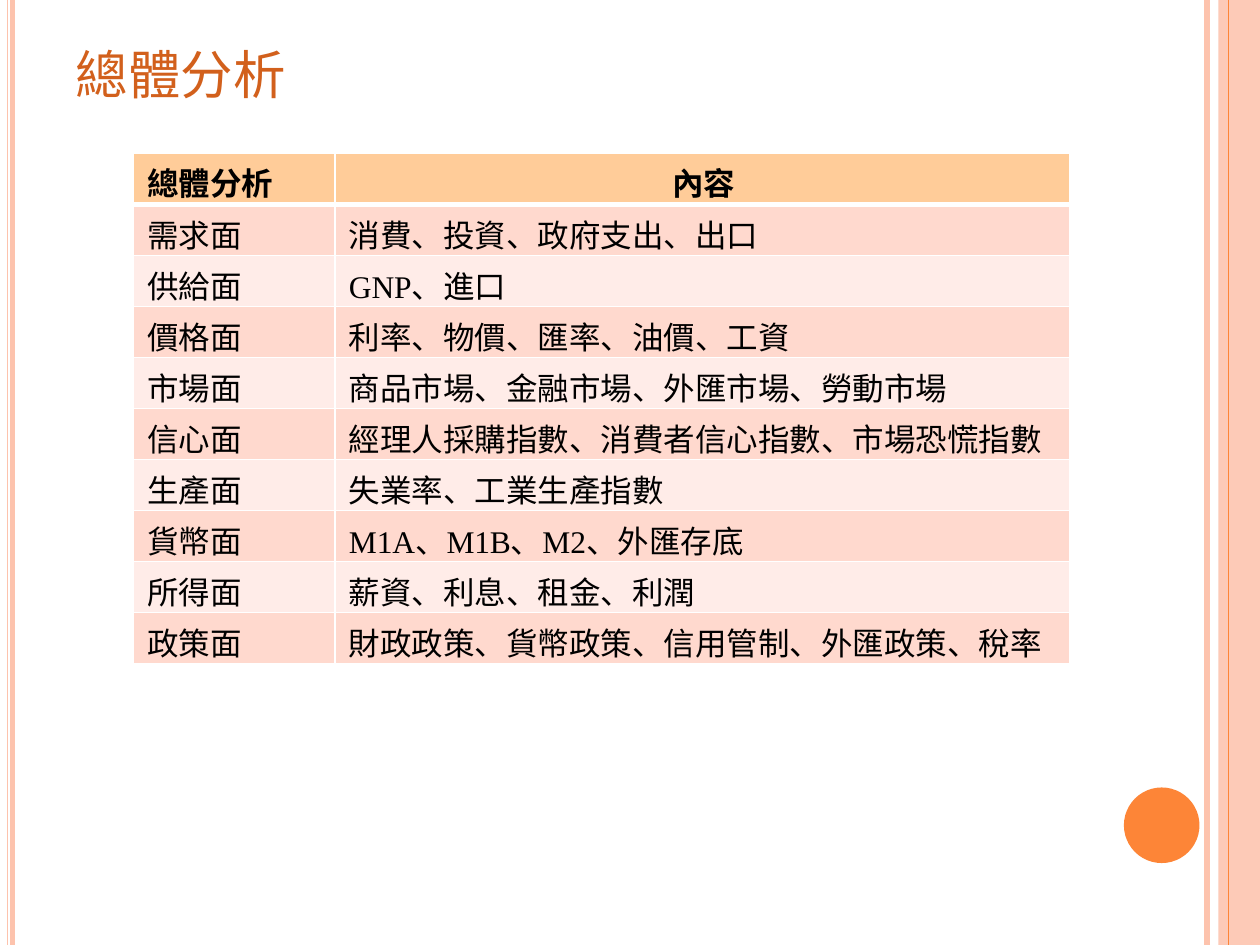
from itertools import groupby

from lxml.etree import SubElement
from pptx import Presentation
from pptx.dml.color import RGBColor
from pptx.enum.shapes import MSO_CONNECTOR, MSO_SHAPE
from pptx.enum.text import MSO_ANCHOR, PP_ALIGN
from pptx.oxml.ns import qn
from pptx.util import Inches, Pt

WHITE = RGBColor(0xFF, 0xFF, 0xFF)
BLACK = RGBColor(0x00, 0x00, 0x00)
PEACH = RGBColor(0xFD, 0xC3, 0xAD)
ORANGE = RGBColor(0xFD, 0x85, 0x37)
RUST = RGBColor(0xD2, 0x60, 0x1C)
HEADER_FILL = RGBColor(0xFF, 0xCC, 0x99)
ODD_FILL = RGBColor(0xFF, 0xD9, 0xCE)
EVEN_FILL = RGBColor(0xFF, 0xEC, 0xE8)

BODY_FONT = "Roboto"
HEADER_FONT = "Noto Sans CJK SC"
LATIN_FONT = "Times New Roman"

RULES = [(9.58, PEACH, 3), (0.1, PEACH, 2.75), (0.06, PEACH, 0.91)]
INNER_RULE = (9.75, ORANGE, 0.72)
COLUMN_WIDTHS = [1.6, 5.83]
ASPECTS = [
    ("總體分析", "內容"),
    ("需求面", "消費、投資、政府支出、出口"),
    ("供給面", "GNP、進口"),
    ("價格面", "利率、物價、匯率、油價、工資"),
    ("市場面", "商品市場、金融市場、外匯市場、勞動市場"),
    ("信心面", "經理人採購指數、消費者信心指數、市場恐慌指數"),
    ("生產面", "失業率、工業生產指數"),
    ("貨幣面", "M1A、M1B、M2、外匯存底"),
    ("所得面", "薪資、利息、租金、利潤"),
    ("政策面", "財政政策、貨幣政策、信用管制、外匯政策、稅率"),
]


def set_all(target, values):
    """Set each named attribute of the target."""
    for name, value in values.items():
        setattr(target, name, value)


def add_rule(slide, x, color, width):
    """Draw a full-height vertical rule."""
    rule = slide.shapes.add_connector(
        MSO_CONNECTOR.STRAIGHT, Inches(x), 0, Inches(x), Inches(7.5))
    rule.line.color.rgb = color
    rule.line.width = Pt(width)
    SubElement(rule._element.spPr, qn("a:effectLst"))


def add_solid(slide, preset, box, color, opacity=100):
    """Add an unlined shape with a plain fill of the given opacity."""
    solid = slide.shapes.add_shape(preset, *map(Inches, box))
    solid.shadow.inherit = False
    solid.line.fill.background()
    solid.fill.solid()
    solid.fill.fore_color.rgb = color
    if opacity < 100:
        tint = solid._element.spPr.find(qn("a:solidFill"))[0]
        SubElement(tint, qn("a:alpha"), val=str(opacity * 1000))


def write_text(paragraph, text, font, size, color, bold=False, indent=0, before=0):
    """Write text in runs, with Latin words in their own font."""
    paragraph.space_before = Pt(before)
    paragraph._p.get_or_add_pPr().set("marL", str(Inches(indent)))
    for is_latin, letters in groupby(text, str.isascii):
        run = paragraph.add_run()
        run.text = "".join(letters)
        face = LATIN_FONT if is_latin else font
        set_all(run.font, {"name": face, "size": Pt(size), "bold": bold})
        run.font.color.rgb = color
        properties = run._r.get_or_add_rPr()
        SubElement(properties, qn("a:ea"), typeface=face)
        if is_latin:
            properties.set("spc", "-10")


def add_borders(cell, top, bottom):
    """Give a cell white borders, with top and bottom widths in points."""
    widths = {"a:lnL": 1, "a:lnR": 1, "a:lnT": top, "a:lnB": bottom}
    for side, width in widths.items():
        border = SubElement(cell._tc.get_or_add_tcPr(), qn(side), w=str(Pt(width)))
        SubElement(SubElement(border, qn("a:solidFill")), qn("a:srgbClr"), val=str(WHITE))


def fill_cell(cell, text, row, column):
    """Format and write one table cell."""
    is_header = row == 0
    set_all(cell, {"margin_left": 0, "margin_right": 0,
                   "margin_top": Inches(0.04), "margin_bottom": 0,
                   "vertical_anchor": MSO_ANCHOR.BOTTOM})
    add_borders(cell, top=3 if row == 1 else 1, bottom=3 if is_header else 1)
    cell.fill.solid()
    cell.fill.fore_color.rgb = (
        HEADER_FILL if is_header else ODD_FILL if row % 2 else EVEN_FILL)
    paragraph = cell.text_frame.paragraphs[0]
    centred = is_header and column == 1
    if centred:
        paragraph.alignment = PP_ALIGN.CENTER
    write_text(paragraph, text, HEADER_FONT if is_header else BODY_FONT, 18, BLACK,
               bold=is_header, indent=0.02 if centred else 0.11, before=2.9)


def add_aspect_table(slide):
    """Add the table of aspects and their contents."""
    table = slide.shapes.add_table(
        len(ASPECTS), len(COLUMN_WIDTHS), Inches(1.06), Inches(1.22),
        Inches(sum(COLUMN_WIDTHS)), Inches(4.05)).table
    for column, width in zip(table.columns, COLUMN_WIDTHS):
        column.width = Inches(width)
    for row, texts in enumerate(ASPECTS):
        for column, text in enumerate(texts):
            fill_cell(table.cell(row, column), text, row, column)


def add_title(slide, text):
    """Add the slide title."""
    frame = slide.shapes.add_textbox(
        Inches(0.59), Inches(0.32), Inches(1.69), Inches(0.53)).text_frame
    set_all(frame, {"word_wrap": True, "margin_left": 0, "margin_right": 0,
                    "margin_top": Inches(0.01), "margin_bottom": 0})
    write_text(frame.paragraphs[0], text, BODY_FONT, 30, RUST, indent=0.01, before=1)


def main():
    """Build and save the slide."""
    deck = Presentation()
    set_all(deck, {"slide_width": Inches(10), "slide_height": Inches(7.5)})
    slide = deck.slides.add_slide(deck.slide_layouts[6])
    for rule in RULES:
        add_rule(slide, *rule)
    add_solid(slide, MSO_SHAPE.RECTANGLE, (9.67, 0, 0.33, 7.5), PEACH, opacity=87)
    add_rule(slide, *INNER_RULE)
    add_solid(slide, MSO_SHAPE.OVAL, (8.92, 6.25, 0.6, 0.6), ORANGE)
    add_aspect_table(slide)
    add_title(slide, "總體分析")
    deck.save("out.pptx")


if __name__ == "__main__":
    main()
